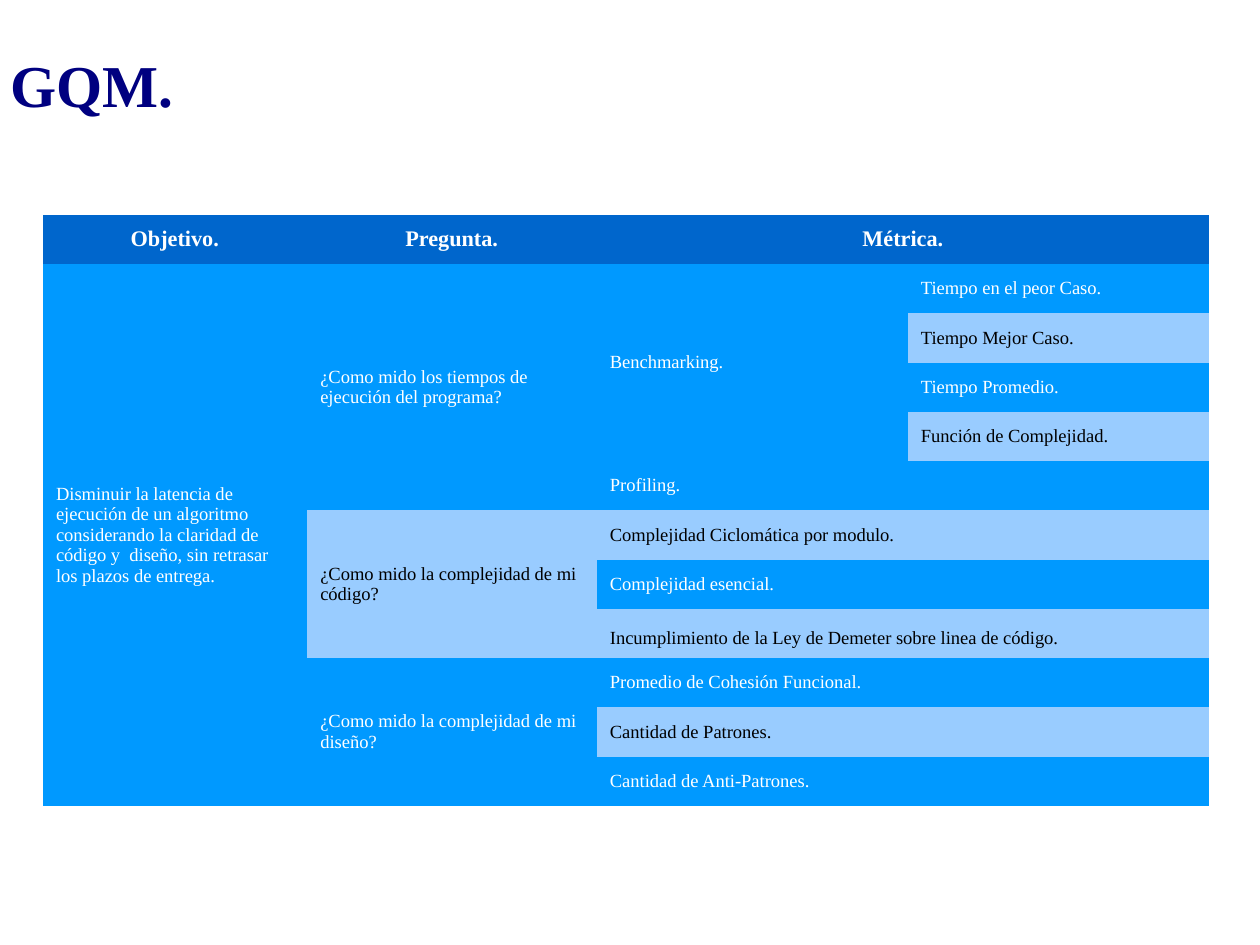
from dataclasses import dataclass

from pptx import Presentation
from pptx.dml.color import RGBColor
from pptx.enum.text import MSO_ANCHOR, PP_ALIGN
from pptx.oxml.ns import qn
from pptx.util import Inches, Pt

MIDDLE = MSO_ANCHOR.MIDDLE
LEFT, CENTER, JUSTIFY = PP_ALIGN.LEFT, PP_ALIGN.CENTER, PP_ALIGN.JUSTIFY
PLAIN_STYLE = "{2D5ABB26-0587-4C30-8999-92F81FD0307C}"


@dataclass(frozen=True)
class Theme:
    font: str = "Times New Roman"
    navy: str = "000080"
    head: str = "0066CC"
    dark: str = "0099FF"
    light: str = "99CCFF"
    white: str = "FFFFFF"
    black: str = "000000"
    title_size: int = 32
    head_size: int = 12
    body_size: int = 10


THEME = Theme()
WIDTHS = (1.98, 2.17, 2.33, 2.26)
ROWS = 12
HEADS = ((0, 1, "Objetivo."), (1, 1, "Pregunta."), (2, 2, "Métrica."))
GOAL = (
    "Disminuir la latencia de ejecución de un algoritmo considerando "
    "la claridad de código y  diseño, sin retrasar los plazos de entrega."
)
ASKS = (
    (1, 5, "¿Como mido los tiempos de ejecución del programa?"),
    (6, 3, "¿Como mido la complejidad de mi código?"),
    (9, 3, "¿Como mido la complejidad de mi diseño?"),
)
TIMES = (
    "Tiempo en el peor Caso.",
    "Tiempo Mejor Caso.",
    "Tiempo Promedio.",
    "Función de Complejidad.",
)
METRICS = (
    "Profiling.",
    "Complejidad Ciclomática por modulo.",
    "Complejidad esencial.",
    "Incumplimiento de la Ley de Demeter sobre linea de código.",
    "Promedio de Cohesión Funcional.",
    "Cantidad de Patrones.",
    "Cantidad de Anti-Patrones.",
)
LOOSE_ROW = 8


def add_run(para, text, size, color, bold=False):
    run = para.add_run()
    run.text = text
    run.font.name = THEME.font
    run.font.size = Pt(size)
    run.font.bold = bold
    run.font.color.rgb = RGBColor.from_string(color)


def add_title(slide, text):
    box = slide.shapes.add_textbox(Inches(0.08), Inches(0.04), Inches(5.63), Inches(1.18))
    frame = box.text_frame
    frame.word_wrap = True
    frame.vertical_anchor = MIDDLE
    frame.margin_left = frame.margin_right = 0
    frame.margin_top = frame.margin_bottom = 0
    add_run(frame.paragraphs[0], text, THEME.title_size, THEME.navy, True)


def add_grid(slide):
    frame = slide.shapes.add_table(
        ROWS, len(WIDTHS), Inches(0.32), Inches(1.61), Inches(sum(WIDTHS)), Inches(4.43)
    )
    table = frame.table
    table.first_row = table.horz_banding = False
    for style in frame.element.iter(qn("a:tableStyleId")):
        style.text = PLAIN_STYLE
    for column, width in zip(table.columns, WIDTHS):
        column.width = Inches(width)
    return table


def fill_cell(table, row, col, text, tall=1, wide=1):
    cell = table.cell(row, col)
    if tall > 1 or wide > 1:
        cell.merge(table.cell(row + tall - 1, col + wide - 1))
    top = row == 0
    odd = row % 2 == 1
    fill = THEME.head if top else THEME.dark if odd else THEME.light
    color = THEME.white if top or odd else THEME.black
    size = THEME.head_size if top else THEME.body_size
    cell.fill.solid()
    cell.fill.fore_color.rgb = RGBColor.from_string(fill)
    cell.vertical_anchor = MIDDLE
    para = cell.text_frame.paragraphs[0]
    para.alignment = CENTER if top else LEFT
    add_run(para, text, size, color, top)
    return para


def main():
    deck = Presentation()
    deck.slide_width, deck.slide_height = Inches(9.44), Inches(7.08)
    slide = deck.slides.add_slide(deck.slide_layouts[6])
    add_title(slide, "GQM.")
    table = add_grid(slide)
    for col, wide, text in HEADS:
        fill_cell(table, 0, col, text, wide=wide)
    fill_cell(table, 1, 0, GOAL, tall=ROWS - 1)
    for row, tall, text in ASKS:
        fill_cell(table, row, 1, text, tall=tall)
    fill_cell(table, 1, 2, "Benchmarking.", tall=len(TIMES))
    for row, text in enumerate(TIMES, 1):
        fill_cell(table, row, 3, text)
    for row, text in enumerate(METRICS, 1 + len(TIMES)):
        para = fill_cell(table, row, 2, text, wide=2)
        if row == LOOSE_ROW:
            para.alignment = JUSTIFY
            para.line_spacing = 1.5
    deck.save("out.pptx")


if __name__ == "__main__":
    main()
